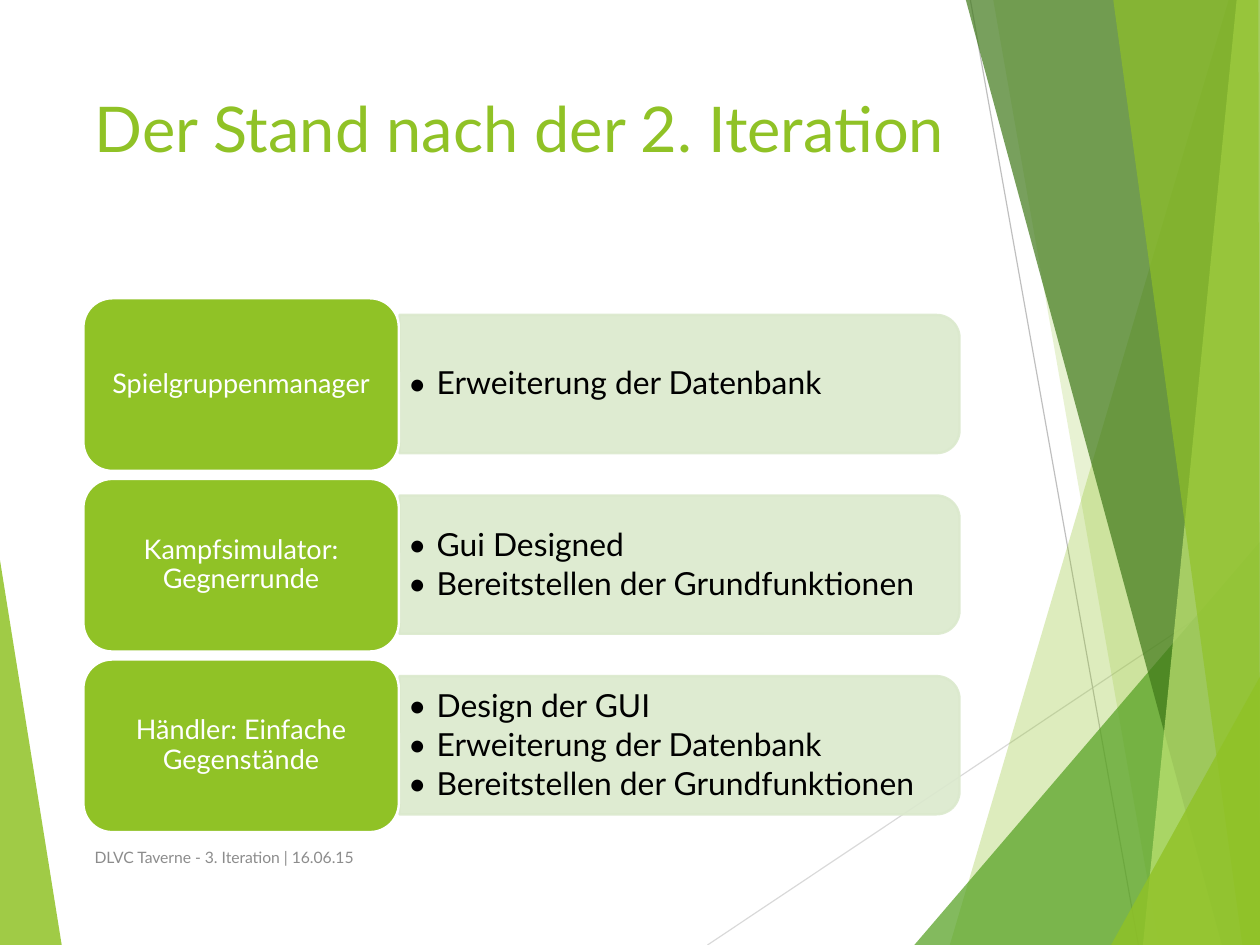
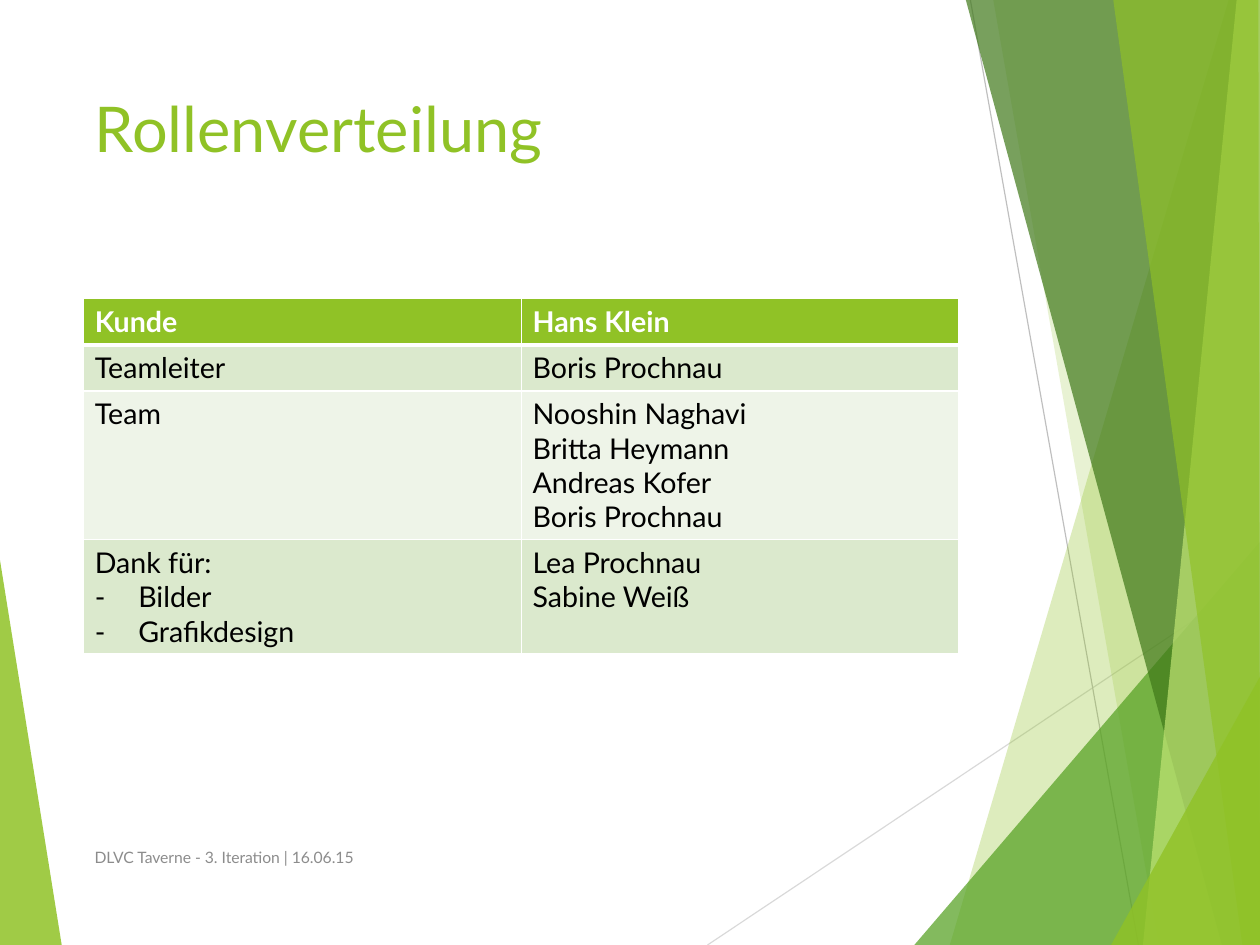
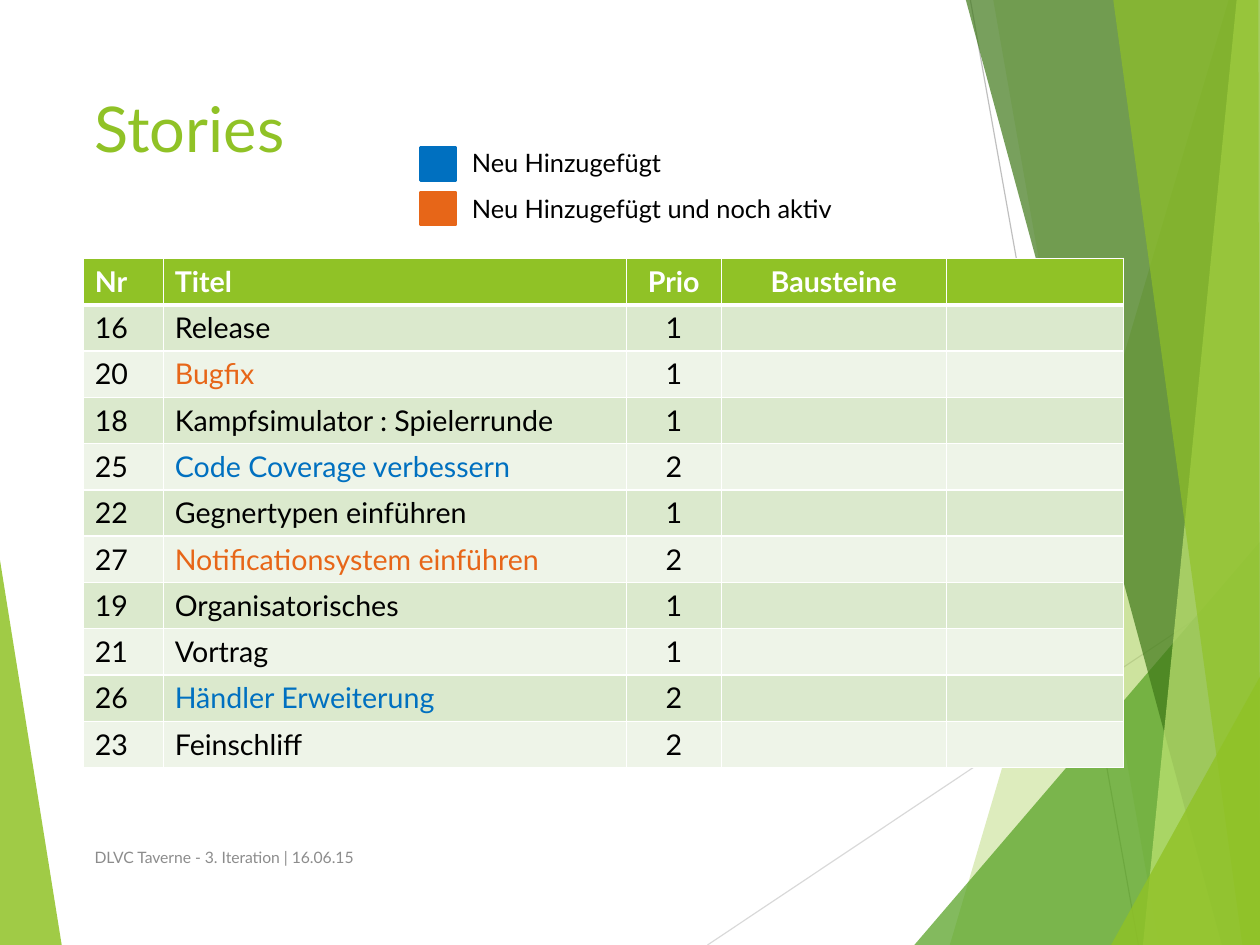
import pptx
import pptx.dml.color
import pptx.enum.shapes
import pptx.enum.text
import pptx.oxml.ns
import pptx.util
from lxml import etree

Inches = pptx.util.Inches
Pt = pptx.util.Pt
Shape = pptx.enum.shapes.MSO_SHAPE
Align = pptx.enum.text.PP_ALIGN
MIDDLE = pptx.enum.text.MSO_ANCHOR.MIDDLE
qn = pptx.oxml.ns.qn

# Shared look; the page measures 28 by 21 cm
FONT = "Lato"
GREEN, PALE, PALER = "90C226", "DBE9CD", "EEF4E8"
BLACK, WHITE, GREY = "000000", "FFFFFF", "8C8C8C"
BLUE, ORANGE = "0070C0", "E76618"
WIDTH, HEIGHT, LEFT = 28 / 2.54, 21 / 2.54, 0.73
BULLET_INDENTS = {"• ": 0.25, "- ": 0.38}
FOOTER = "DLVC Taverne - 3. Iteration | 16.06.15"

# Background: thin lines (start, end, colour), then wedges (colour, opacity, corners)
LINES = [
    ((6.19, HEIGHT), (WIDTH, 5.04), "D9D9D9"),
    ((8.49, 0), (9.96, HEIGHT), "BFBFBF"),
]
WEDGES = [
    (GREEN, 85, [(0, 4.9), (0.54, HEIGHT), (0, HEIGHT)]),
    (GREEN, 30, [(10.75, 0), (8.31, HEIGHT), (WIDTH, HEIGHT), (WIDTH, 0)]),
    (GREEN, 20, [(8.69, 0), (10.14, HEIGHT), (WIDTH, HEIGHT), (WIDTH, 0)]),
    ("54A021", 72, [(8, HEIGHT), (WIDTH, 4.74), (WIDTH, HEIGHT)]),
    ("3F7819", 70, [(8.45, 0), (10.69, HEIGHT), (WIDTH, HEIGHT), (WIDTH, 0)]),
    ("C0E474", 70, [(10.82, 0), (10, HEIGHT), (WIDTH, HEIGHT), (WIDTH, 0)]),
    (GREEN, 65, [(9.74, 0), (10.87, HEIGHT), (WIDTH, HEIGHT), (11.01, 0)]),
    (GREEN, 80, [(9.72, HEIGHT), (WIDTH, 5.92), (WIDTH, HEIGHT)]),
]


def paint(fill, colour, opacity=100):
    """Give a shape, line or font fill a solid colour."""
    fill.solid()
    fill.fore_color.rgb = pptx.dml.color.RGBColor.from_string(colour)
    if opacity < 100:
        solid = fill._xPr.find(qn("a:solidFill"))
        etree.SubElement(solid[0], qn("a:alpha"), val=str(opacity * 1000))


def write(frame, lines, size, colour, bold=False, frame_format={}, para_format={}, gap=0):
    """Write lines into a text frame; a leading mark becomes a real bullet."""
    for name, value in frame_format.items():
        setattr(frame, name, value)
    for index, line in enumerate(lines):
        para = frame.add_paragraph() if index else frame.paragraphs[0]
        mark = line[:2]
        if mark in BULLET_INDENTS:
            indent = Inches(BULLET_INDENTS[mark])
            properties = para._p.get_or_add_pPr()
            properties.set("marL", str(indent))
            properties.set("indent", str(-indent))
            etree.SubElement(properties, qn("a:buFont"), typeface=FONT)
            etree.SubElement(properties, qn("a:buChar"), char=mark[0])
            line = line[2:]
        for name, value in para_format.items():
            setattr(para, name, value)
        if index and gap:
            para.space_before = Pt(gap)
        span = para.add_run()
        span.text = line
        for name, value in {"name": FONT, "size": Pt(size), "bold": bold}.items():
            setattr(span.font, name, value)
        paint(span.font.fill, colour)


deck = pptx.Presentation()
deck.slide_width, deck.slide_height = Inches(WIDTH), Inches(HEIGHT)

# Pages with background, title and footer
pages = []
for title in ["Der Stand nach der 2. Iteration", "Rollenverteilung", "Stories"]:
    page = deck.slides.add_slide(deck.slide_layouts[6])
    pages.append(page)
    for start, end, colour in LINES:
        line = page.shapes.add_connector(
            pptx.enum.shapes.MSO_CONNECTOR.STRAIGHT, *map(Inches, start + end))
        line.line.width = Pt(0.75)
        paint(line.line.fill, colour)
        etree.SubElement(line._element.spPr, qn("a:effectLst"))
    for colour, opacity, corners in WEDGES:
        points = [(Inches(x), Inches(y)) for x, y in corners]
        outline = page.shapes.build_freeform(*points[0])
        outline.add_line_segments(points[1:])
        wedge = outline.convert_to_shape()
        wedge.shadow.inherit = False
        wedge.line.fill.background()
        paint(wedge.fill, colour, opacity)

    box = page.shapes.add_textbox(Inches(LEFT), Inches(0.73), Inches(7.65), Inches(1.59))
    write(box.text_frame, [title], 39.7, GREEN, frame_format={"word_wrap": True})
    box = page.shapes.add_textbox(Inches(LEFT), Inches(7.28), Inches(5.57), Inches(0.44))
    write(box.text_frame, [FOOTER], 9.9, GREY,
          frame_format={"word_wrap": True, "vertical_anchor": MIDDLE})

status_page, roles_page, stories_page = pages

# Status: a label and its bullet list in each row
STATUS = [
    ("Spielgruppenmanager", ["• Erweiterung der Datenbank"]),
    ("Kampfsimulator: Gegnerrunde",
     ["• Gui Designed", "• Bereitstellen der Grundfunktionen"]),
    ("Händler: Einfache Gegenstände",
     ["• Design der GUI", "• Erweiterung der Datenbank",
      "• Bereitstellen der Grundfunktionen"]),
]
LABEL_FORMAT = {
    "word_wrap": True, "vertical_anchor": MIDDLE,
    "margin_left": Inches(0.15), "margin_right": Inches(0.15),
    "margin_top": Inches(0.11), "margin_bottom": Inches(0.11),
}
LIST_FORMAT = {
    "word_wrap": True, "vertical_anchor": MIDDLE,
    "margin_left": Inches(0.08), "margin_right": Inches(0.08),
    "margin_top": Inches(0.04), "margin_bottom": Inches(0.04),
}
for index, (label_text, points) in enumerate(STATUS):
    top = 2.61 + 1.58 * index
    panel = status_page.shapes.add_shape(
        Shape.ROUND_2_SAME_RECTANGLE,
        Inches(5.34), Inches(top - 1.7), Inches(1.21), Inches(4.9))
    panel.rotation = 90
    label = status_page.shapes.add_shape(
        Shape.ROUNDED_RECTANGLE, Inches(LEFT), Inches(top), Inches(2.76), Inches(1.51))
    for shape, fill, edge, opacity in [(panel, PALE, PALE, 90), (label, GREEN, WHITE, 100)]:
        shape.shadow.inherit = False
        shape.line.width = Pt(1.5)
        paint(shape.fill, fill, opacity)
        paint(shape.line.fill, edge, opacity)
    write(label.text_frame, [label_text], 17, WHITE, frame_format=LABEL_FORMAT,
          para_format={"alignment": Align.CENTER, "line_spacing": 0.9})
    box = status_page.shapes.add_textbox(
        Inches(3.49), Inches(top + 0.21), Inches(4.84), Inches(1.09))
    write(box.text_frame, points, 20, BLACK, frame_format=LIST_FORMAT,
          para_format={"line_spacing": 0.9, "space_after": Pt(3)})

# Tables: page, top, column widths, centred columns, rows
ROLES = [
    ("Kunde", "Hans Klein"),
    ("Teamleiter", "Boris Prochnau"),
    ("Team", "Nooshin Naghavi\nBritta Heymann\nAndreas Kofer\nBoris Prochnau"),
    ("Dank für:\n- Bilder\n- Grafikdesign", "Lea Prochnau\nSabine Weiß"),
]
STORIES = [
    ("Nr", "Titel", "Prio", "Bausteine", ""),
    ("16", "Release", "1", "", ""),
    ("20", "Bugfix", "1", "", ""),
    ("18", "Kampfsimulator : Spielerrunde", "1", "", ""),
    ("25", "Code Coverage verbessern", "2", "", ""),
    ("22", "Gegnertypen einführen", "1", "", ""),
    ("27", "Notificationsystem einführen", "2", "", ""),
    ("19", "Organisatorisches", "1", "", ""),
    ("21", "Vortrag", "1", "", ""),
    ("26", "Händler Erweiterung", "2", "", ""),
    ("23", "Feinschliff", "2", "", ""),
]
STORY_COLOURS = {
    "Bugfix": ORANGE, "Notificationsystem einführen": ORANGE,
    "Code Coverage verbessern": BLUE, "Händler Erweiterung": BLUE,
}
TABLES = [
    (roles_page, 2.61, [3.83, 3.83], [], ROLES),
    (stories_page, 2.26, [0.7, 4.05, 0.83, 1.97, 1.55], [2, 3], STORIES),
]
ROW_HEIGHT = 4.46 / len(STORIES)
for page, top, widths, centred, rows in TABLES:
    table = page.shapes.add_table(
        len(rows), len(widths), Inches(LEFT), Inches(top),
        Inches(sum(widths)), Inches(ROW_HEIGHT * len(rows))).table
    for column, width in zip(table.columns, widths):
        column.width = Inches(width)
    for row_index, row in enumerate(rows):
        header = row_index == 0
        row_fill = GREEN if header else PALE if row_index % 2 else PALER
        borders = {"a:lnL": 1, "a:lnR": 1,
                   "a:lnT": 3 if row_index == 1 else 1, "a:lnB": 3 if header else 1}
        for column_index, text in enumerate(row):
            cell = table.cell(row_index, column_index)
            properties = cell._tc.get_or_add_tcPr()
            for side, width in borders.items():
                border = etree.SubElement(properties, qn(side), w=str(Pt(width)))
                solid = etree.SubElement(border, qn("a:solidFill"))
                etree.SubElement(solid, qn("a:srgbClr"), val=WHITE)
            paint(cell.fill, row_fill)
            if text:
                colour = WHITE if header else STORY_COLOURS.get(text, BLACK)
                align = Align.CENTER if column_index in centred else Align.LEFT
                write(cell.text_frame, text.split("\n"), 18, colour, bold=header,
                      para_format={"alignment": align})

# Legend of the stories
for top, colour in [(1.29, BLUE), (1.68, ORANGE)]:
    swatch = stories_page.shapes.add_shape(
        Shape.RECTANGLE, Inches(3.68), Inches(top), Inches(0.31), Inches(0.29))
    swatch.shadow.inherit = False
    swatch.line.width = Pt(1.5)
    paint(swatch.fill, colour)
    paint(swatch.line.fill, colour)
box = stories_page.shapes.add_textbox(Inches(4.03), Inches(1.24), Inches(3.41), Inches(0.77))
write(box.text_frame, ["Neu Hinzugefügt", "Neu Hinzugefügt und noch aktiv"], 16, BLACK,
      frame_format={"word_wrap": False}, gap=9.6)

deck.save("out.pptx")
